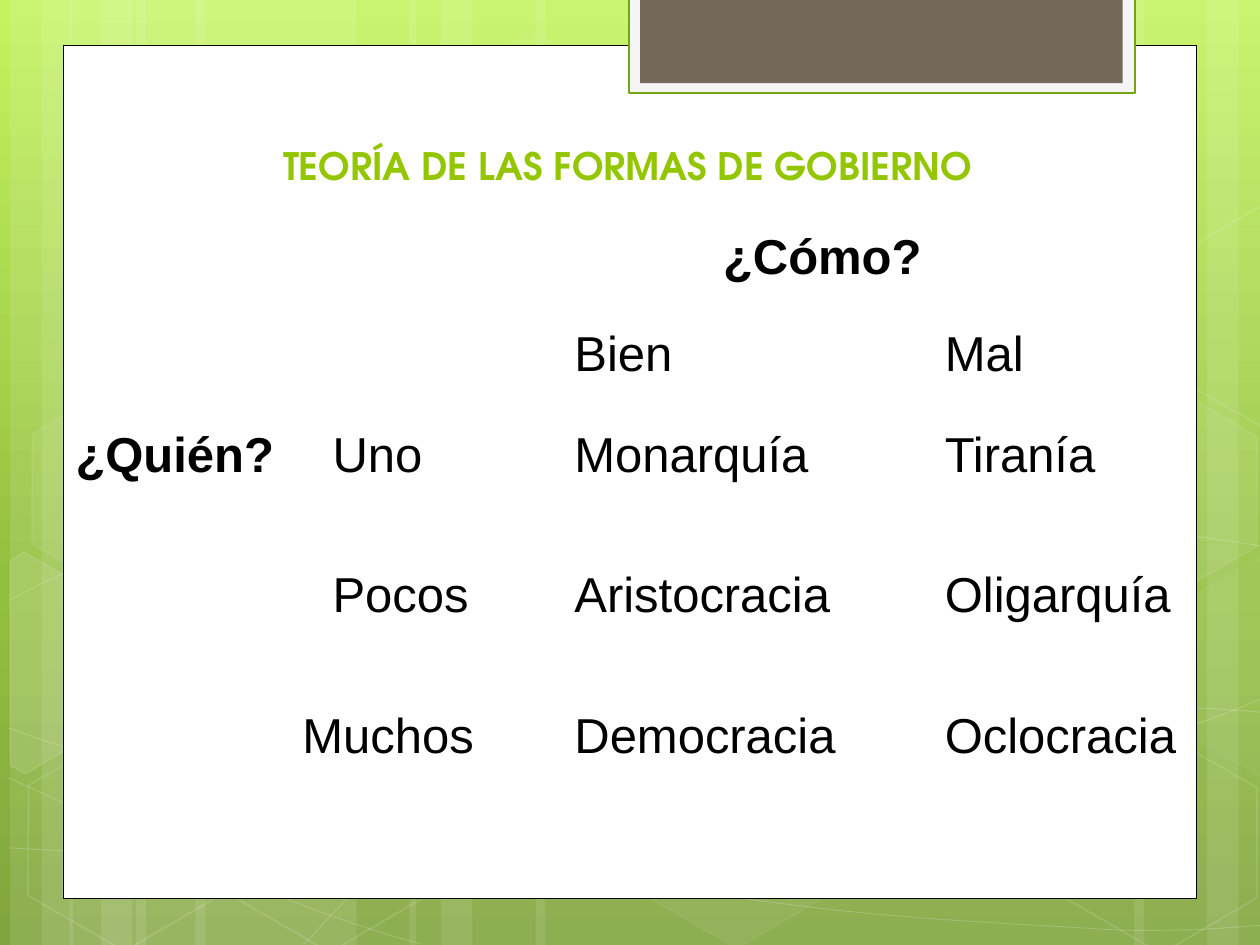
from copy import deepcopy
from dataclasses import dataclass
from math import cos, radians, sin

from lxml import etree
from pptx import Presentation
from pptx import util as u
from pptx.dml.color import RGBColor
from pptx.enum import shapes, text
from pptx.oxml import ns


@dataclass(frozen=True)
class Theme:
    """Colours, fonts and type sizes of the deck."""
    sky: tuple = ((0, "C3F35F"), (0.62, "93BF3F"), (1, "81A53E"))
    white: str = "FFFFFF"
    black: str = "000000"
    tab_edge: str = "74A510"
    tab_rim: str = "F5F5F5"
    tab: str = "71685A"
    accent: str = "94C600"
    title_font: str = "TeX Gyre Adventor"
    body_font: str = "Arial"
    title_size: float = 21.6
    body_size: float = 28


@dataclass(frozen=True)
class Box:
    """A region in inches."""
    left: float
    top: float
    width: float
    height: float

    def inner(self, left, top, width, height):
        """Return a box placed relative to this one."""
        return Box(self.left + left, self.top + top, width, height)

    def lengths(self):
        """Return left, top, width and height as lengths."""
        return [u.Inches(n) for n in (self.left, self.top, self.width, self.height)]


THEME = Theme()
BANDS = ((1.08, 1.75, 0), (0.08, 0.5, 0), (0.33, 0.83, 0), (1.55, 1.75, 0), (0.55, 0.5, 0),
         (0.8, 0.83, 0), (7.33, 1.75, 180), (9.58, 0.5, 180), (9, 0.83, 180),
         (4.25, 3.08, 0), (3.25, 0.5, 0), (3.5, 0.83, 0))
CURVES = (
    ((0.07, 6.73), (0.61, 6.76), (1.15, 6.79), (1.9, 6.78), (2.65, 6.77), (3.58, 6.75),
     (4.58, 6.65), (5.58, 6.55), (7, 6.36), (7.92, 6.17), (8.83, 5.98), (9.77, 5.68),
     (10.07, 5.51)),
    ((0.07, 4.77), (0.36, 4.61), (0.65, 4.46), (1.21, 4.31), (1.78, 4.16), (2.59, 3.94),
     (3.47, 3.87), (4.36, 3.8), (5.44, 3.79), (6.54, 3.87), (7.64, 3.95), (9.47, 4.26),
     (10.07, 4.34)),
    ((0.06, 6.17), (1.27, 6.72), (2.47, 7.27), (3.34, 7.49)),
    ((0.07, 5.78), (0.38, 5.89), (0.7, 6), (1.28, 6.16), (1.86, 6.31), (2.73, 6.56),
     (3.57, 6.73), (4.4, 6.9), (5.45, 7.08), (6.28, 7.18), (7.11, 7.29), (8, 7.33),
     (8.53, 7.36), (9.05, 7.4), (9.19, 7.38), (9.45, 7.38), (9.71, 7.37), (9.89, 7.35),
     (10.07, 7.34)),
    ((2.42, 7.49), (2.6, 7.29), (2.78, 7.09), (3.02, 6.91), (3.26, 6.73), (3.6, 6.53),
     (3.88, 6.39), (4.16, 6.25), (4.33, 6.19), (4.7, 6.09), (5.06, 5.99), (5.73, 5.85),
     (6.08, 5.78), (6.44, 5.71), (6.49, 5.71), (6.8, 5.69), (7.11, 5.66), (7.6, 5.63),
     (7.94, 5.62), (8.29, 5.61), (8.86, 5.62), (8.86, 5.62), (8.86, 5.62), (9.53, 5.62),
     (9.53, 5.62), (9.71, 5.63), (9.88, 5.64), (9.97, 5.65), (10.06, 5.66), (10.03, 5.65),
     (10.06, 5.66)),
)
HEXAGONS = ((3.34, 0.36, 4, 8), (4.97, 5.89, 6, 12), (0.11, 5.91, 0, 12),
            (0.14, 3.12, 7, 8), (1.74, 5.92, 0, 12), (7.53, 4.53, 10, 12),
            (8.34, 5.93, 0, 12), (8.34, 3.14, 7, 8))
CUT_HEXAGONS = (
    ((0.36, 5.35), 10, ((0.08, 4.45), (0.19, 4.38), (0.96, 4.82), (0.95, 5.7),
                        (0.2, 6.14), (0.08, 6.07))),
    ((9.85, 5.2), 4, ((9.26, 4.85), (10.01, 4.41), (10.09, 4.46), (10.09, 6.13),
                      (10.02, 6.17), (9.26, 5.73))),
    ((9.85, 2.41), 0, ((9.26, 2.07), (10.01, 1.63), (10.1, 1.68), (10.09, 3.35),
                       (10.02, 3.39), (9.26, 2.95))),
)
TILT = 30
COLUMNS = (1.8, 0.21, 1.92, 2.94, 2.13)
ROWS = (0.77, 0.8, 1.11, 1.12, 1.12)
MERGES = ((0, 1), (0, 3), (1, 0), (2, 0), (3, 0), (4, 1))
WORDS = {
    (0, 3): "¿Cómo?", (1, 3): "Bien", (1, 4): "Mal",
    (2, 0): "¿Quién?", (2, 2): "Uno", (2, 3): "Monarquía", (2, 4): "Tiranía",
    (3, 2): "Pocos", (3, 3): "Aristocracia", (3, 4): "Oligarquía",
    (4, 1): "Muchos", (4, 3): "Democracia", (4, 4): "Oclocracia",
}


def paint(fill, color, opacity=100):
    """Apply a solid colour, or nothing when the opacity is zero."""
    if not opacity:
        fill.background()
        return
    fill.solid()
    fill.fore_color.rgb = RGBColor.from_string(color)
    if opacity < 100:
        for node in fill._xPr.iter(ns.qn("a:srgbClr")):
            etree.SubElement(node, ns.qn("a:alpha")).set("val", str(opacity * 1000))


def style(shape, fill, opacity=100, line=None, weight=1, line_opacity=100):
    """Set the fill and line of a shape and drop its shadow."""
    shape.shadow.inherit = False
    if line:
        shape.line.width = u.Pt(weight)
    paint(shape.line.fill, line, line_opacity if line else 0)
    paint(shape.fill, fill, opacity)


def add_block(page, box, kind=shapes.MSO_SHAPE.RECTANGLE):
    """Add a preset shape filling the box."""
    return page.shapes.add_shape(kind, *box.lengths())


def add_outline(page, box, points, close):
    """Add a freeform through points relative to the box."""
    places = [(u.Inches(box.left + x), u.Inches(box.top + y)) for x, y in points]
    builder = page.shapes.build_freeform(*places[0])
    builder.add_line_segments(places[1:], close=close)
    return builder.convert_to_shape()


def add_curve(page, box, knots):
    """Add an open outline whose points, three by three, bend as cubic curves."""
    curve = add_outline(page, box, knots, False)
    lines = list(curve._element.iter(ns.qn("a:lnTo")))
    for start in range(0, len(lines), 3):
        bend = etree.Element(ns.qn("a:cubicBezTo"))
        lines[start].addprevious(bend)
        for line in lines[start:start + 3]:
            bend.append(line[0])
            line.getparent().remove(line)
    return curve


def turn(point, center, degrees):
    """Rotate a point clockwise about a centre."""
    x, y = point[0] - center[0], point[1] - center[1]
    c, s = cos(radians(degrees)), sin(radians(degrees))
    return center[0] + x * c - y * s, center[1] + x * s + y * c


def draw_backdrop(page, box):
    """Draw the gradient, light bands, curves and hexagons."""
    fill = page.background.fill
    fill.gradient()
    fill.gradient_angle = 270
    first = fill.gradient_stops[0]._gs
    first.addnext(deepcopy(first))
    for stop, (position, color) in zip(fill.gradient_stops, THEME.sky):
        stop.position = position
        stop.color.rgb = RGBColor.from_string(color)
    for left, width, rotation in BANDS:
        band = add_block(page, box.inner(left, 0, width, box.height))
        band.rotation = rotation
        style(band, THEME.white, 10)
    for knots in CURVES:
        style(add_curve(page, box, knots), THEME.white, 0, THEME.white, 0.5, 20)
    for left, top, opacity, edge in HEXAGONS:
        hexagon = add_block(page, box.inner(left, top, 1.75, 1.52), shapes.MSO_SHAPE.HEXAGON)
        hexagon.adjustments[0] = 0.285
        hexagon.rotation = TILT
        style(hexagon, THEME.white, opacity, THEME.white, 1, edge)
    for center, opacity, points in CUT_HEXAGONS:
        level = [turn(point, center, -TILT) for point in points]
        hexagon = add_outline(page, box, level, True)
        hexagon.rotation = TILT
        style(hexagon, THEME.white, opacity, THEME.white, 1, 12)


def draw_panel(page, box):
    """Draw the white panel and the tab hanging over its top edge."""
    style(add_block(page, box), THEME.white, line=THEME.black, weight=0.5)
    style(add_block(page, box.inner(4.49, -0.38, 4.02, 0.76)), THEME.tab_rim,
          line=THEME.tab_edge, weight=1.25)
    style(add_block(page, box.inner(4.58, -0.38, 3.83, 0.68)), THEME.tab)


def set_font(para, name, size, color, bold):
    """Format a whole paragraph."""
    para.font.name, para.font.size, para.font.bold = name, u.Pt(size), bold
    para.font.color.rgb = RGBColor.from_string(color)


def write_title(page, box, words):
    """Fill the title placeholder and bring it to the front."""
    title = page.shapes.title
    title.left, title.top, title.width, title.height = box.lengths()
    frame = title.text_frame
    frame.text = words
    frame.auto_size = text.MSO_AUTO_SIZE.NONE
    frame.vertical_anchor = text.MSO_ANCHOR.TOP
    frame.margin_top = u.Inches(0.01)
    para = frame.paragraphs[0]
    para.alignment = text.PP_ALIGN.CENTER
    set_font(para, THEME.title_font, THEME.title_size, THEME.accent, True)
    page.shapes._spTree.append(title._element)


def clear_cell(cell):
    """Remove the fill and the borders of a cell."""
    cell.fill.background()
    for index, side in enumerate(("a:lnL", "a:lnR", "a:lnT", "a:lnB")):
        border = etree.Element(ns.qn(side))
        etree.SubElement(border, ns.qn("a:noFill"))
        cell._tc.tcPr.insert(index, border)


def build_table(page, box):
    """Build the table of who governs and how."""
    table = page.shapes.add_table(len(ROWS), len(COLUMNS), *box.lengths()).table
    table.first_row = table.horz_banding = False
    for column, width in zip(table.columns, COLUMNS):
        column.width = u.Inches(width)
    for row, height in zip(table.rows, ROWS):
        row.height = u.Inches(height)
    for cell in table.iter_cells():
        clear_cell(cell)
    for row, column in MERGES:
        table.cell(row, column).merge(table.cell(row, column + 1))
    for place, words in WORDS.items():
        cell = table.cell(*place)
        cell.text = words
        set_font(cell.text_frame.paragraphs[0], THEME.body_font, THEME.body_size,
                 THEME.black, words.startswith("¿"))
    table.cell(0, 3).margin_left = u.Inches(1.28)


def main():
    """Assemble and save the deck."""
    deck = Presentation()
    deck.slide_width, deck.slide_height = u.Inches(10), u.Inches(7.5)
    page = deck.slides.add_slide(deck.slide_layouts[5])
    whole = Box(0, 0, 10, 7.5)
    draw_backdrop(page, whole)
    draw_panel(page, whole.inner(0.5, 0.36, 9, 6.77))
    write_title(page, whole.inner(1.14, 1.12, 7.68, 1.25), "TEORÍA DE LAS FORMAS DE GOBIERNO")
    build_table(page, whole.inner(0.5, 1.78, sum(COLUMNS), sum(ROWS)))
    deck.save("out.pptx")


main()
